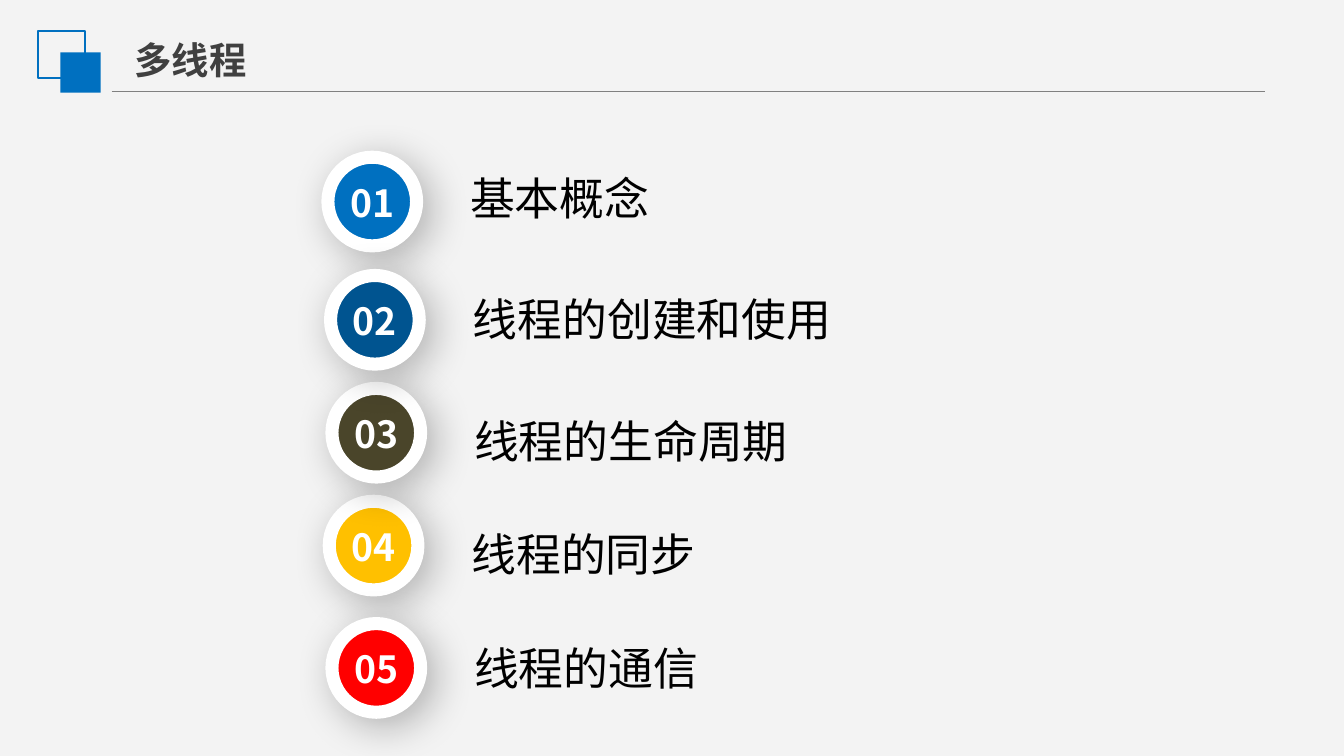
from dataclasses import dataclass
from lxml.etree import SubElement
from pptx import Presentation
from pptx.dml.color import RGBColor
from pptx.enum.shapes import MSO_CONNECTOR, MSO_SHAPE
from pptx.enum.text import MSO_ANCHOR, MSO_AUTO_SIZE, PP_ALIGN
from pptx.oxml.ns import qn
from pptx.util import Inches, Pt


@dataclass(frozen=True)
class Theme:
    background: str = "F3F3F3"
    accent: str = "0070C0"
    rule: str = "808080"
    title: str = "404040"
    text: str = "000000"
    light: str = "FFFFFF"
    heading_font: str = "Noto Sans CJK SC"
    label_font: str = "Calibri"
    heading_size: int = 20
    label_size: int = 24


THEME = Theme()
TITLE = "多线程"
TOPICS = [
    ("01", "基本概念", "0070C0", 2.44, 1.17, 0.05, 2.04),
    ("02", "线程的创建和使用", "005490", 2.46, 2.05, 0.07, 3.31),
    ("03", "线程的生命周期", "4A452A", 2.47, 2.89, 0.14, 2.83),
    ("04", "线程的同步", "FFC000", 2.45, 3.73, 0.14, 2.25),
    ("05", "线程的通信", "FF0000", 2.47, 4.64, 0.08, 2.31),
]
STACKING = (0, 3, 2, 1, 4)
BADGE = 0.66
LABEL_OFFSET = 0.96


def colour(value):
    return RGBColor.from_string(value)


def place(shape, left, top, width, height):
    shape.left, shape.top = Inches(left), Inches(top)
    shape.width, shape.height = Inches(width), Inches(height)


def write(box, text, font, size, shade, bold=False, align=PP_ALIGN.LEFT, wrap=True):
    frame = box.text_frame
    frame.text = text
    frame.word_wrap = wrap
    frame.auto_size = MSO_AUTO_SIZE.NONE
    frame.vertical_anchor = MSO_ANCHOR.TOP
    para = frame.paragraphs[0]
    para.alignment = align
    span = para.runs[0]
    span.font.name, span.font.size, span.font.bold = font, Pt(size), bold
    span.font.color.rgb = colour(shade)
    SubElement(span.font._element, qn("a:ea"), typeface=THEME.heading_font)


def add_text(page, area, *style, **options):
    box = page.shapes.add_textbox(*map(Inches, area))
    write(box, *style, **options)
    return box


def add_figure(page, kind, area, fill=None, line=None, weight=1):
    shape = page.shapes.add_shape(kind, *map(Inches, area))
    shape.shadow.inherit = False
    if fill:
        shape.fill.solid()
        shape.fill.fore_color.rgb = colour(fill)
    else:
        shape.fill.background()
    if line:
        shape.line.color.rgb = colour(line)
        shape.line.width = Pt(weight)
    else:
        shape.line.fill.background()
    return shape


def add_shadow(shape):
    effects = shape._element.spPr.find(qn("a:effectLst"))
    shadow = SubElement(effects, qn("a:outerShdw"), blurRad=str(Pt(22)),
                        dist=str(Pt(6)), dir=str(45 * 60000),
                        algn="tl", rotWithShape="0")
    shade = SubElement(shadow, qn("a:srgbClr"), val="000000")
    SubElement(shade, qn("a:alpha"), val="28000")


def add_header(page):
    rule = page.shapes.add_connector(
        MSO_CONNECTOR.STRAIGHT, *map(Inches, (0.83, 0.68, 9.41, 0.68)))
    rule.line.color.rgb = colour(THEME.rule)
    rule.line.width = Pt(0.75)
    SubElement(rule._element.spPr, qn("a:effectLst"))
    add_figure(page, MSO_SHAPE.RECTANGLE, (0.28, 0.23, 0.35, 0.35), line=THEME.accent)
    add_figure(page, MSO_SHAPE.RECTANGLE, (0.45, 0.39, 0.3, 0.3), fill=THEME.accent)
    title = page.shapes.title
    place(title, 0.9, 0.23, 1.04, 0.44)
    write(title, TITLE, THEME.heading_font, THEME.heading_size, THEME.title,
          bold=True, wrap=False)


def add_badge(page, number, fill, left, top):
    circle = add_figure(page, MSO_SHAPE.OVAL, (left, top, BADGE, BADGE),
                        fill, THEME.light, 7)
    add_shadow(circle)
    box = add_text(page, (left + 0.08, top + 0.13, 0.5, 0.41), number,
                   THEME.heading_font, THEME.heading_size, THEME.light,
                   bold=True, align=PP_ALIGN.CENTER)
    frame = box.text_frame
    frame.margin_left = frame.margin_right = Inches(0.07)
    frame.margin_top = frame.margin_bottom = Inches(0.04)


def main():
    deck = Presentation()
    deck.slide_width = Inches(10)
    deck.slide_height = deck.slide_width * 9 // 16
    page = deck.slides.add_slide(deck.slide_layouts[5])
    page.background.fill.solid()
    page.background.fill.fore_color.rgb = colour(THEME.background)
    add_header(page)
    for index in STACKING:
        number, _, fill, left, top, _, _ = TOPICS[index]
        add_badge(page, number, fill, left, top)
    for _, label, _, left, top, drop, width in TOPICS:
        add_text(page, (left + LABEL_OFFSET, top + drop, width, 0.5), label,
                 THEME.label_font, THEME.label_size, THEME.text)
    deck.save("out.pptx")


if __name__ == "__main__":
    main()
